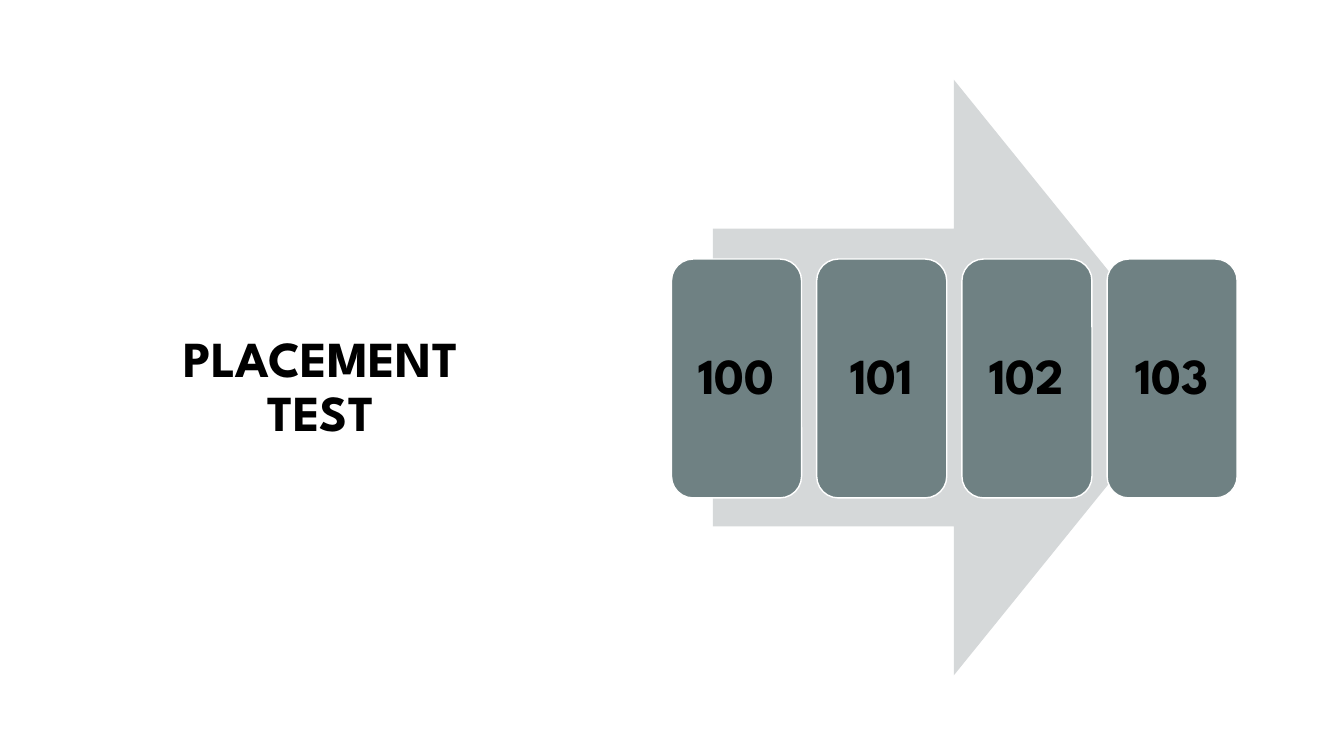
import pptx
import pptx.util
import pptx.dml.color
import pptx.enum.shapes
import pptx.enum.text

Inches = pptx.util.Inches
Pt = pptx.util.Pt
RGBColor = pptx.dml.color.RGBColor
SHAPE = pptx.enum.shapes.MSO_SHAPE

# Content
TITLE = "PLACEMENT TEST"
COURSES = ["100", "101", "102", "103"]

# Style
FONT = "League Spartan"
BLACK = RGBColor(0x00, 0x00, 0x00)
WHITE = RGBColor(0xFF, 0xFF, 0xFF)
ARROW_GRAY = RGBColor(0xD5, 0xD8, 0xD9)
CARD_GRAY = RGBColor(0x6F, 0x81, 0x83)

# Layout in inches
TITLE_BOX = (1.63, 2.6, 3.1, 2.5)
ARROW_BOX = (7.07, 0.79, 4.78, 5.91)
CARD_LEFT, CARD_TOP, CARD_WIDTH, CARD_HEIGHT = 6.66, 2.57, 1.29, 2.37
CARD_PITCH = 1.44


def add_label(box, text, side_inset, end_inset):
    frame = box.text_frame
    frame.word_wrap = True
    frame.vertical_anchor = pptx.enum.text.MSO_ANCHOR.MIDDLE
    frame.margin_left = frame.margin_right = Inches(side_inset)
    frame.margin_top = frame.margin_bottom = Inches(end_inset)
    para = frame.paragraphs[0]
    para.alignment = pptx.enum.text.PP_ALIGN.CENTER
    para.line_spacing = 0.9
    span = para.add_run()
    span.text = text
    span.font.name = FONT
    span.font.size = Pt(36)
    span.font.bold = True
    span.font.color.rgb = BLACK


def add_filled(slide, kind, place, color):
    shape = slide.shapes.add_shape(kind, *map(Inches, place))
    shape.shadow.inherit = False
    shape.fill.solid()
    shape.fill.fore_color.rgb = color
    return shape


deck = pptx.Presentation()
deck.slide_width = Inches(13.33)
deck.slide_height = Inches(7.5)
slide = deck.slides.add_slide(deck.slide_layouts[6])

# Title
title = slide.shapes.add_textbox(*map(Inches, TITLE_BOX))
add_label(title, TITLE, 0.1, 0.05)

# Arrow behind the cards
arrow = add_filled(slide, SHAPE.RIGHT_ARROW, ARROW_BOX, ARROW_GRAY)
arrow.line.fill.background()

# Course cards
for index, course in enumerate(COURSES):
    place = (CARD_LEFT + index * CARD_PITCH, CARD_TOP, CARD_WIDTH, CARD_HEIGHT)
    card = add_filled(slide, SHAPE.ROUNDED_RECTANGLE, place, CARD_GRAY)
    card.line.color.rgb = WHITE
    card.line.width = Pt(1)
    add_label(card, course, 0.15, 0.15)

deck.save("out.pptx")
